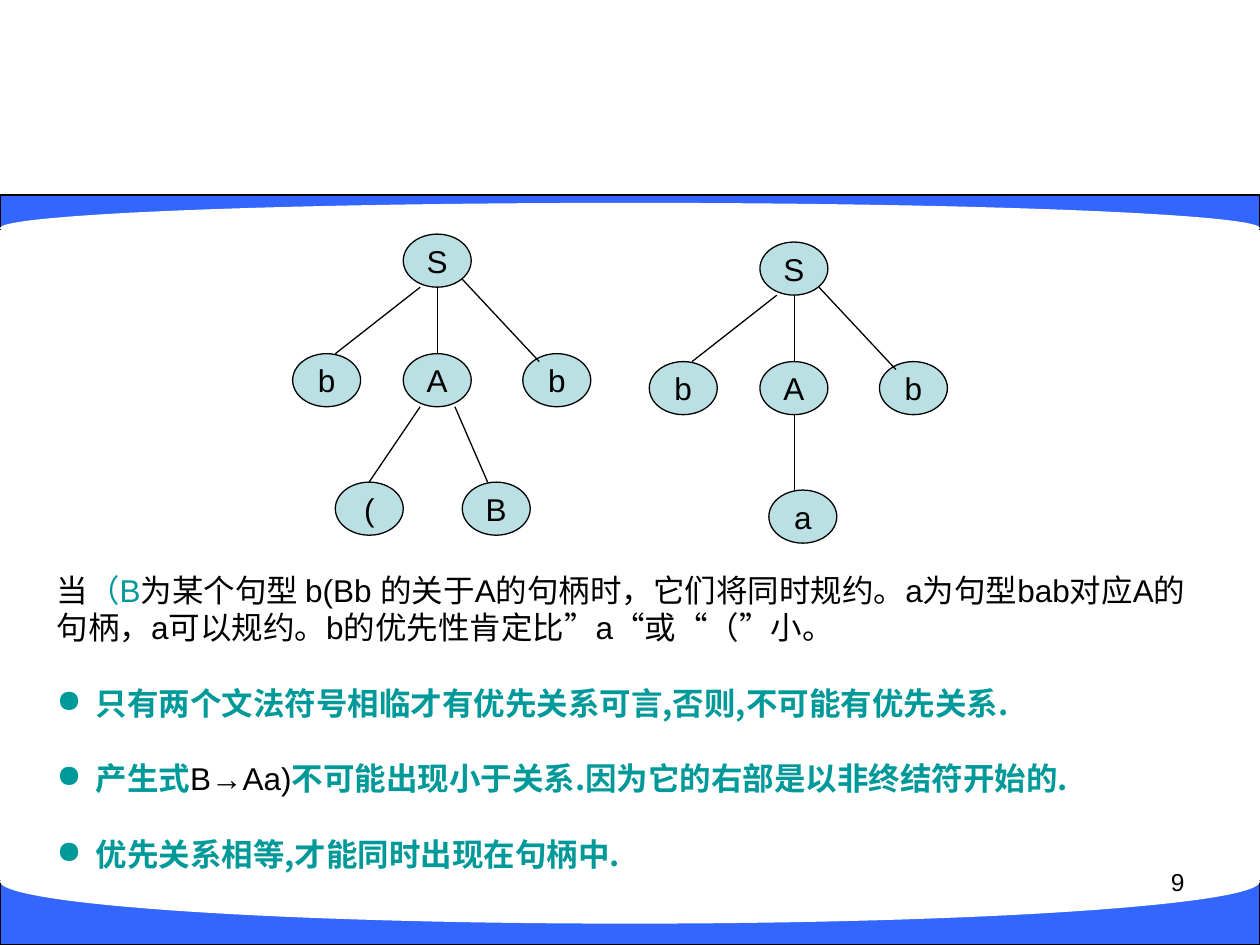
"""Build a slide comparing two syntax trees and their precedence rules."""
from typing import NamedTuple

import lxml.etree
import pptx
import pptx.dml.color
import pptx.enum.shapes
import pptx.enum.text
import pptx.oxml.ns
import pptx.util
from pptx.util import Cm

COLORS = {"band": "3366FF", "paper": "FFFFFF", "ink": "000000", "node": "BBE0E3", "accent": "009999"}
LATIN, CHINESE = "Arial", "Noto Sans CJK SC"
NODE_WIDTH, NODE_HEIGHT = 1.37, 1.07
SHAPES = pptx.enum.shapes.MSO_SHAPE
ALIGN = pptx.enum.text.PP_ALIGN


class Node(NamedTuple):
    label: str
    left: float
    top: float


class Edge(NamedTuple):
    x1: float
    y1: float
    x2: float
    y2: float


class Tree(NamedTuple):
    left: float
    top: float
    nodes: list[Node]
    edges: list[Edge]


class Span(NamedTuple):
    text: str
    color: str
    font: str = LATIN
    bold: bool = False


TOP_NODES = [Node("S", 0, 0), Node("b", -2.23, 2.41), Node("A", 0, 2.41), Node("b", 2.41, 2.41)]
TOP_EDGES = [Edge(0.34, 1.07, -1.37, 2.41), Edge(0.69, 1.07, 0.69, 2.41), Edge(1.19, 0.91, 2.74, 2.57)]
TREES = [
    Tree(8.13, 4.72,
         TOP_NODES + [Node("(", -1.37, 5), Node("B", 1.19, 5)],
         TOP_EDGES + [Edge(0.34, 3.48, -0.69, 5), Edge(1.04, 3.48, 1.7, 5)]),
    Tree(15.32, 4.88,
         TOP_NODES + [Node("a", 0.18, 5)],
         TOP_EDGES + [Edge(0.69, 3.48, 0.69, 5)]),
]
INTRO = [
    Span("当", "ink"),
    Span("（B", "accent"),
    Span("为某个句型 b(Bb 的关于A的句柄时，它们将同时规约。a为句型bab对应A的句柄，"
         "a可以规约。b的优先性肯定比”a“或“（”小。", "ink"),
]
BULLETS = [
    [Span("只有两个文法符号相临才有优先关系可言,否则,不可能有优先关系.", "accent", CHINESE, True)],
    [Span("产生式", "accent", CHINESE, True),
     Span("B→Aa)", "ink"),
     Span("不可能出现小于关系.因为它的右部是以非终结符开始的.", "accent", CHINESE, True)],
    [Span("优先关系相等,才能同时出现在句柄中.", "accent", CHINESE, True)],
]


def rgb(name: str) -> pptx.dml.color.RGBColor:
    """Return a palette colour."""
    return pptx.dml.color.RGBColor.from_string(COLORS[name])


def add_preset(page, kind, left: float, top: float, width: float, height: float,
               fill: str, outlined: bool = True):
    """Add a filled preset shape measured in centimetres."""
    shape = page.shapes.add_shape(kind, Cm(left), Cm(top), Cm(width), Cm(height))
    shape.shadow.inherit = False
    shape.fill.solid()
    shape.fill.fore_color.rgb = rgb(fill)
    if outlined:
        shape.line.color.rgb = rgb("ink")
        shape.line.width = pptx.util.Pt(0.75)
    else:
        shape.line.fill.background()
    return shape


def add_edge(page, tree: Tree, edge: Edge) -> None:
    """Draw one branch of a tree."""
    line = page.shapes.add_connector(
        pptx.enum.shapes.MSO_CONNECTOR.STRAIGHT,
        Cm(tree.left + edge.x1), Cm(tree.top + edge.y1),
        Cm(tree.left + edge.x2), Cm(tree.top + edge.y2))
    line.line.color.rgb = rgb("ink")
    line.line.width = pptx.util.Pt(0.75)
    properties = line._element.spPr
    lxml.etree.SubElement(properties, pptx.oxml.ns.qn("a:effectLst"))


def style_font(font, size: float, color: str, name: str = LATIN, bold: bool = False) -> None:
    """Format a paragraph or run font."""
    font.size = pptx.util.Pt(size)
    font.bold = bold
    font.color.rgb = rgb(color)
    font.name = name


def add_tree(page, tree: Tree) -> None:
    """Draw the nodes and branches of a tree."""
    for node in tree.nodes:
        shape = add_preset(page, SHAPES.OVAL, tree.left + node.left, tree.top + node.top,
                           NODE_WIDTH, NODE_HEIGHT, "node")
        frame = shape.text_frame
        frame.word_wrap = False
        frame.vertical_anchor = pptx.enum.text.MSO_ANCHOR.MIDDLE
        para = frame.paragraphs[0]
        para.text = node.label
        para.alignment = ALIGN.CENTER
        style_font(para.font, 18, "ink")
    for edge in tree.edges:
        add_edge(page, tree, edge)


def add_bullet(para) -> None:
    """Give a paragraph a hanging round bullet."""
    properties = para._p.get_or_add_pPr()
    properties.set("marL", str(Cm(0.79)))
    properties.set("indent", str(-Cm(0.79)))
    bullet = lxml.etree.SubElement(properties, pptx.oxml.ns.qn("a:buChar"))
    bullet.set("char", "●")


def fill_paragraph(para, spans: list[Span]) -> None:
    """Write spans, formatting the paragraph itself when there is only one."""
    for span in spans:
        run = para.add_run()
        run.text = span.text
        target = para if len(spans) == 1 else run
        style_font(target.font, 18, span.color, span.font, span.bold)


def add_notes_box(page) -> None:
    """Write the explanation and its bullets."""
    box = page.shapes.add_textbox(Cm(0.89), Cm(11.38), Cm(23.6), Cm(6.35))
    frame = box.text_frame
    frame.word_wrap = True
    fill_paragraph(frame.paragraphs[0], INTRO)
    for spans in BULLETS:
        para = frame.add_paragraph()
        para.space_before = pptx.util.Pt(21.5)
        add_bullet(para)
        fill_paragraph(para, spans)


def add_page_number(page) -> None:
    """Write the page number at the lower right."""
    box = page.shapes.add_textbox(Cm(18.21), Cm(17.35), Cm(5.92), Cm(1.32))
    para = box.text_frame.paragraphs[0]
    box.text_frame.word_wrap = True
    para.text = "9"
    para.alignment = ALIGN.RIGHT
    style_font(para.font, 14, "ink")


def main() -> None:
    """Build and save the deck."""
    deck = pptx.Presentation()
    deck.slide_width, deck.slide_height = Cm(25.4), Cm(19.05)
    page = deck.slides.add_slide(deck.slide_layouts[6])
    add_preset(page, SHAPES.RECTANGLE, 0, 3.93, 25.4, 0.69, "band")
    add_preset(page, SHAPES.OVAL, 0, 4.09, 25.4, 1.02, "paper", False)
    add_preset(page, SHAPES.RECTANGLE, 0, 17.75, 25.4, 1.3, "band")
    add_preset(page, SHAPES.OVAL, 0, 16.92, 25.4, 1.7, "paper", False)
    add_notes_box(page)
    for tree in TREES:
        add_tree(page, tree)
    add_page_number(page)
    deck.save("out.pptx")


if __name__ == "__main__":
    main()
